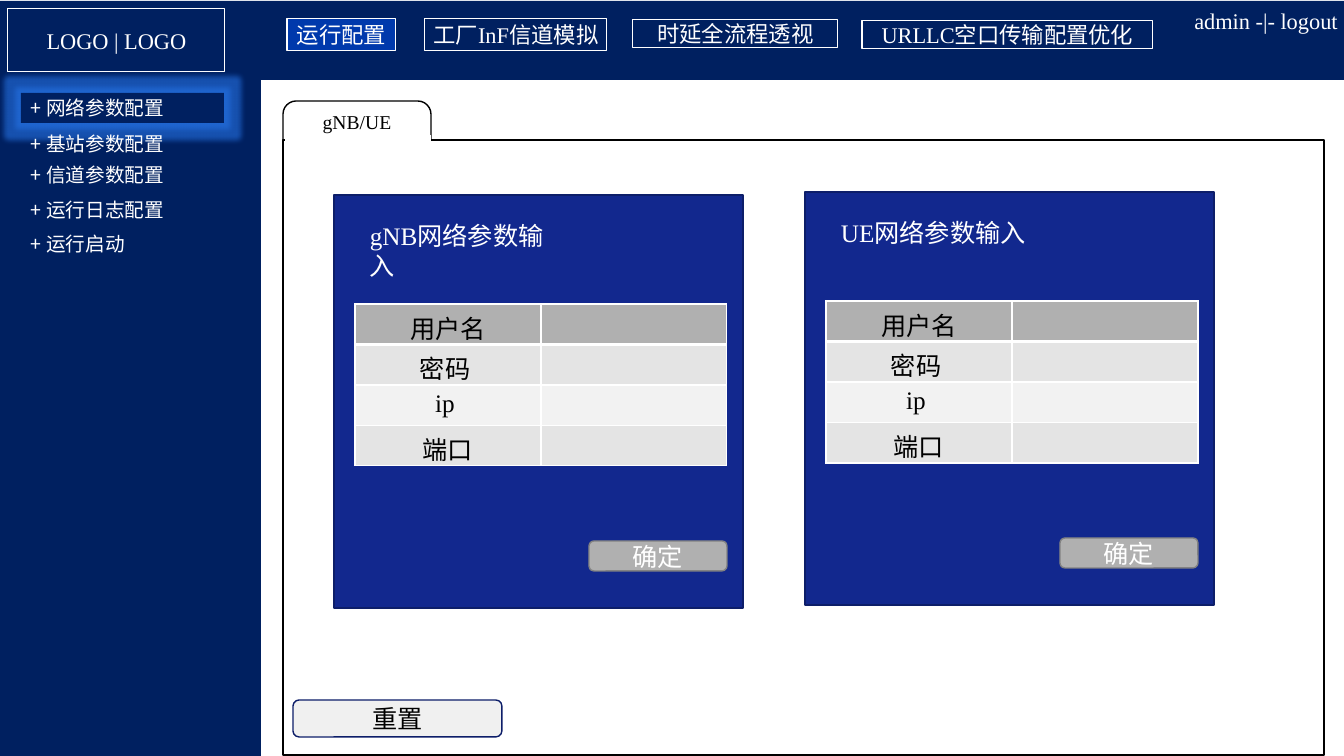
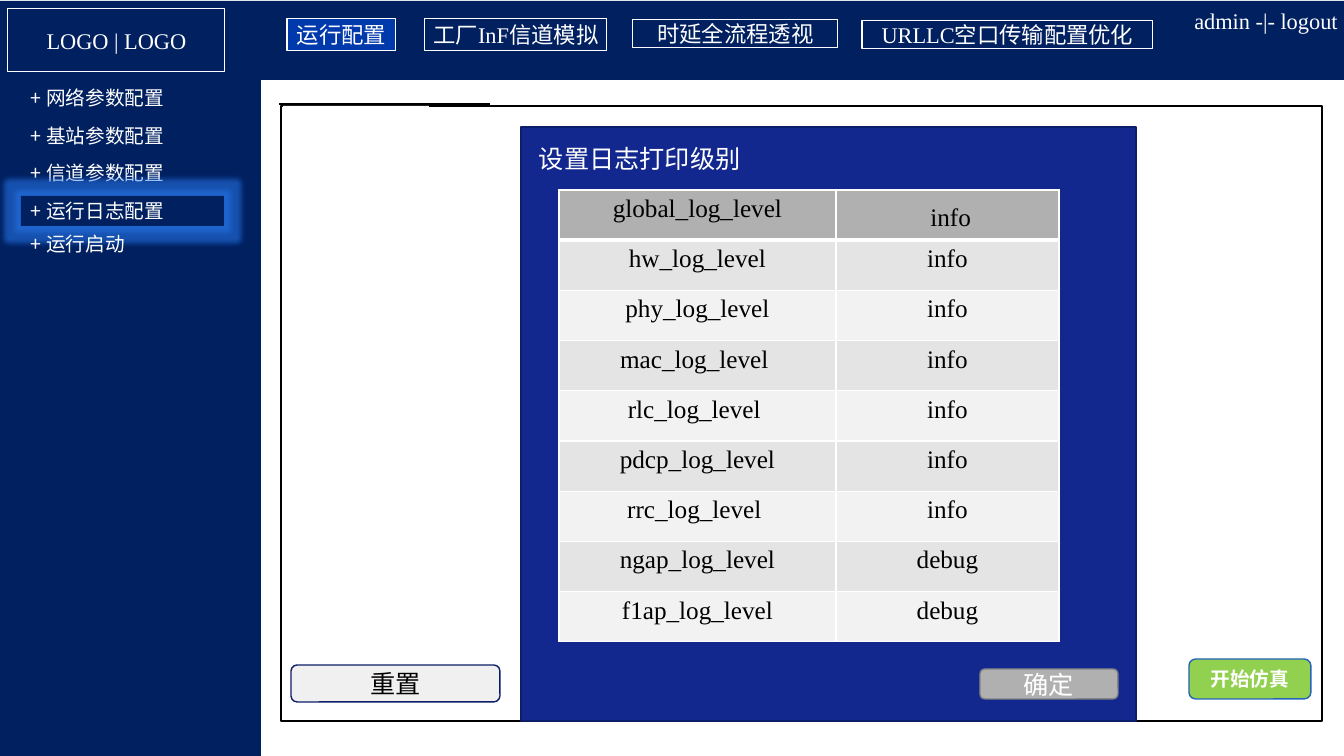
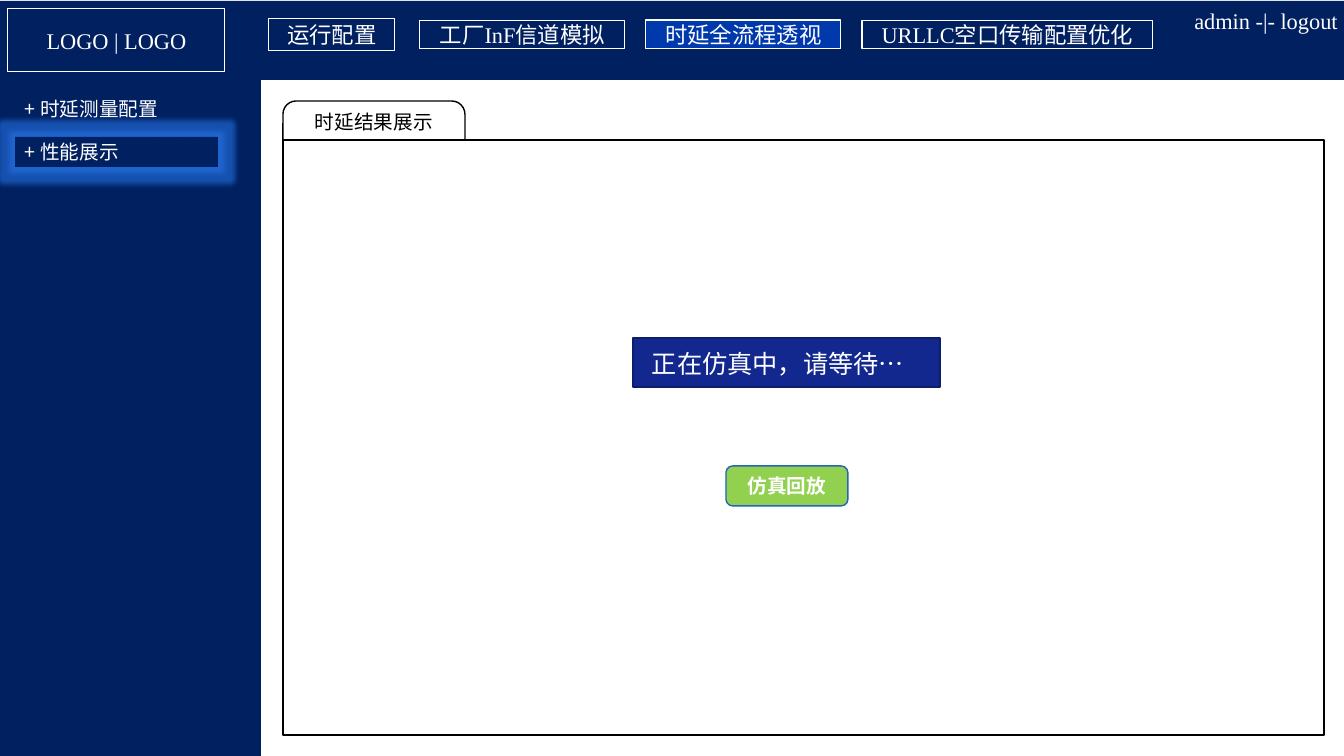
import lxml.etree
import pptx
import pptx.dml.color
import pptx.enum.shapes
import pptx.enum.text
import pptx.oxml.ns
import pptx.util

SCALE = 12192000 / 1344
LATIN = "Times New Roman"
CHINESE = "Noto Sans CJK SC"
WHITE = "FFFFFF"
BLACK = "000000"
NAVY = "002060"
ACTIVE = "0039AC"
PANEL = "12288E"
PANEL_EDGE = "0D1E69"
GLOW = "2673E5"
HEADER_ROW = "B0B0B0"
BUTTON_EDGE = "828282"
BODY_ROWS = ("F2F2F2", "E4E4E4")
GREEN = "92D050"
GREEN_EDGE = "2465BB"
PALE = "F0F0F0"

RECT = pptx.enum.shapes.MSO_SHAPE.RECTANGLE
ROUNDED = pptx.enum.shapes.MSO_SHAPE.ROUNDED_RECTANGLE
LEFT = pptx.enum.text.PP_ALIGN.LEFT
CENTER = pptx.enum.text.PP_ALIGN.CENTER
TOP = pptx.enum.text.MSO_ANCHOR.TOP
MIDDLE = pptx.enum.text.MSO_ANCHOR.MIDDLE

TABS = ("运行配置", "工厂InF信道模拟", "时延全流程透视", "URLLC空口传输配置优化")
SETUP_TAB_BOXES = ((287, 19, 109, 32), (425, 19, 182, 32), (633, 20, 205, 28), (862, 21, 291, 28))
DELAY_TAB_BOXES = ((269, 19, 126, 32), (420, 21, 205, 28), (646, 20, 195, 29), (862, 21, 291, 28))
SETUP_MENU = ("网络参数配置", "基站参数配置", "信道参数配置", "运行日志配置", "运行启动")
DELAY_MENU = ("时延测量配置", "性能展示")
LOGIN_ROWS = (("用户名", ""), ("密码 ", ""), ("ip ", ""), ("端口", ""))
LOG_ROWS = (
    ("global_log_level", " info"),
    ("hw_log_level", "info"),
    ("phy_log_level", "info"),
    ("mac_log_level ", "info"),
    ("rlc_log_level ", "info"),
    ("pdcp_log_level", "info"),
    ("rrc_log_level ", "info"),
    ("ngap_log_level", "debug"),
    ("f1ap_log_level", "debug"),
)


def px(length):
    return pptx.util.Emu(round(length * SCALE))


def place(box):
    return [px(length) for length in box]


def color(value):
    return pptx.dml.color.RGBColor.from_string(value)


def add_xml(parent, tag, **attributes):
    return lxml.etree.SubElement(parent, pptx.oxml.ns.qn(tag), attributes)


def write(frame, text, size, ink=WHITE, align=CENTER, font=LATIN, bold=False):
    para = frame.paragraphs[0]
    para.text = text
    para.alignment = align
    para.font.name = font
    para.font.size = pptx.util.Pt(size)
    para.font.bold = bold
    para.font.color.rgb = color(ink)
    properties = para.font.fill._xPr
    add_xml(properties, "a:ea", typeface=CHINESE)


def set_margins(frame, margin):
    frame.margin_left = frame.margin_right = px(margin)
    frame.margin_top = frame.margin_bottom = px(margin)


def add_box(page, box, fill=None, edge=None, width=1, kind=RECT):
    shape = page.shapes.add_shape(kind, *place(box))
    shape.shadow.inherit = False
    if fill:
        shape.fill.solid()
        shape.fill.fore_color.rgb = color(fill)
    else:
        shape.fill.background()
    if edge:
        shape.line.color.rgb = color(edge)
        shape.line.width = pptx.util.Pt(width)
    else:
        shape.line.fill.background()
    return shape


def add_label(page, box, text, size, anchor=TOP, margin=None, **style):
    frame = page.shapes.add_textbox(*place(box)).text_frame
    frame.word_wrap = True
    frame.vertical_anchor = anchor
    if margin is not None:
        set_margins(frame, margin)
    write(frame, text, size, **style)


def add_button(page, box, text, fill, edge, size=18, **style):
    shape = add_box(page, box, fill, edge, kind=ROUNDED)
    write(shape.text_frame, text, size, **style)


def add_confirm(page, left, top):
    add_button(page, (left, top, 138, 30), "确定", HEADER_ROW, BUTTON_EDGE)


def add_reset(page, left, top):
    add_button(page, (left, top, 209, 37), "重置", PALE, PANEL_EDGE, ink=BLACK)


def add_green_button(page, left, top, text):
    add_button(page, (left, top, 122, 40), text, GREEN, GREEN_EDGE, 14, bold=True)


def add_line(page, left, right, y):
    straight = pptx.enum.shapes.MSO_CONNECTOR.STRAIGHT
    line = page.shapes.add_connector(straight, px(left), px(y), px(right), px(y))
    line.line.color.rgb = color(BLACK)
    line.line.width = pptx.util.Pt(1)
    add_xml(line._element.spPr, "a:effectLst")


def add_glow(shape):
    effects = shape._element.spPr.find(pptx.oxml.ns.qn("a:effectLst"))
    glow = add_xml(effects, "a:glow", rad="101600")
    tint = add_xml(glow, "a:srgbClr", val=GLOW)
    add_xml(tint, "a:alpha", val="60000")


def style_cell(cell, fill, bottom):
    properties = cell._tc.get_or_add_tcPr()
    for side in ("L", "R", "T", "B"):
        points = bottom if side == "B" else 1
        border = add_xml(properties, "a:ln" + side, w=str(pptx.util.Pt(points)))
        paint = add_xml(border, "a:solidFill")
        add_xml(paint, "a:srgbClr", val=WHITE)
    cell.fill.solid()
    cell.fill.fore_color.rgb = color(fill)
    cell.margin_bottom = 0


def add_grid(page, left, top, widths, height, rows):
    box = (left, top, sum(widths), height)
    table = page.shapes.add_table(len(rows), len(widths), *place(box)).table
    table.first_row = False
    table.horz_banding = False
    for column, width in zip(table.columns, widths):
        column.width = px(width)
    for row, texts in enumerate(rows):
        fill = BODY_ROWS[row % 2] if row else HEADER_ROW
        for column, text in enumerate(texts):
            cell = table.cell(row, column)
            style_cell(cell, fill, 1 if row else 3)
            write(cell.text_frame, text, 18, ink=BLACK)
    table.cell(0, 1).vertical_anchor = MIDDLE


def add_menu(page, left, names, centers, active):
    for name, center in zip(names, centers):
        text = "+ " + name
        style = {"align": LEFT, "font": CHINESE}
        if name == active:
            shape = add_box(page, (left, center - 15, 203, 30), NAVY)
            add_glow(shape)
            write(shape.text_frame, text, 14, **style)
        else:
            add_label(page, (left, center - 17, 203, 35), text, 14, MIDDLE, **style)


def add_page(deck, tab_boxes, active_tab):
    page = deck.slides.add_slide(deck.slide_layouts[6])
    add_box(page, (0, 47, 261, 709), NAVY)
    add_box(page, (0, 1, 1344, 79), NAVY)
    logo = add_box(page, (8, 9, 217, 63), edge=WHITE, width=0.75)
    write(logo.text_frame, "LOGO | LOGO", 16)
    for name, box in zip(TABS, tab_boxes):
        fill = ACTIVE if name == active_tab else NAVY
        tab = add_box(page, box, fill, WHITE, 0.75)
        set_margins(tab.text_frame, 0)
        write(tab.text_frame, name, 16)
    add_label(page, (1189, 7, 154, 28), "admin -|- logout", 16, MIDDLE, 0)
    return page


def add_folder(page, text, tab_width, height):
    tab = add_box(page, (283, 101, tab_width, 79), WHITE, BLACK, kind=ROUNDED)
    tab.text_frame.vertical_anchor = TOP
    write(tab.text_frame, text, 14, ink=BLACK)
    add_box(page, (283, 140, 1041, height), WHITE, BLACK)


def add_network_panel(page, left, top, title):
    add_box(page, (left, top, 409, 413), PANEL, PANEL_EDGE)
    add_label(page, (left + 26, top + 20, 207, 40), title, 18, align=LEFT)
    add_grid(page, left + 21, top + 109, (186, 186), 162, LOGIN_ROWS)
    add_confirm(page, left + 255, top + 346)


def build_network_page(deck):
    page = add_page(deck, SETUP_TAB_BOXES, "运行配置")
    add_menu(page, 21, SETUP_MENU, (108, 143, 174, 209, 243), "网络参数配置")
    add_folder(page, "gNB/UE", 148, 615)
    add_line(page, 283, 431, 140)
    add_box(page, (285, 135, 146, 16), WHITE)
    add_network_panel(page, 334, 195, "gNB网络参数输入")
    add_network_panel(page, 805, 192, "UE网络参数输入")
    add_reset(page, 293, 700)


def build_log_page(deck):
    page = add_page(deck, SETUP_TAB_BOXES, "运行配置")
    add_menu(page, 21, SETUP_MENU, (97, 135, 172, 211, 243), "运行日志配置")
    add_box(page, (281, 106, 1041, 615), WHITE, BLACK)
    add_box(page, (283, 106, 146, 11), WHITE)
    add_line(page, 279, 490, 104)
    add_box(page, (521, 127, 615, 594), PANEL, PANEL_EDGE)
    add_label(page, (529, 138, 225, 40), "设置日志打印级别", 18, align=LEFT)
    add_grid(page, 559, 190, (277, 223), 452, LOG_ROWS)
    add_confirm(page, 980, 669)
    add_reset(page, 291, 665)
    add_green_button(page, 1189, 659, "开始仿真")


def build_delay_page(deck):
    page = add_page(deck, DELAY_TAB_BOXES, "时延全流程透视")
    add_menu(page, 15, DELAY_MENU, (108, 152), "性能展示")
    add_folder(page, "时延结果展示", 182, 595)
    add_box(page, (633, 338, 307, 49), PANEL, PANEL_EDGE)
    add_label(page, (642, 343, 375, 40), "正在仿真中，请等待…", 18, align=LEFT)
    add_green_button(page, 726, 466, "仿真回放")


def main():
    deck = pptx.Presentation()
    deck.slide_width = px(1344)
    deck.slide_height = px(756)
    build_network_page(deck)
    build_log_page(deck)
    build_delay_page(deck)
    deck.save("out.pptx")


if __name__ == "__main__":
    main()
